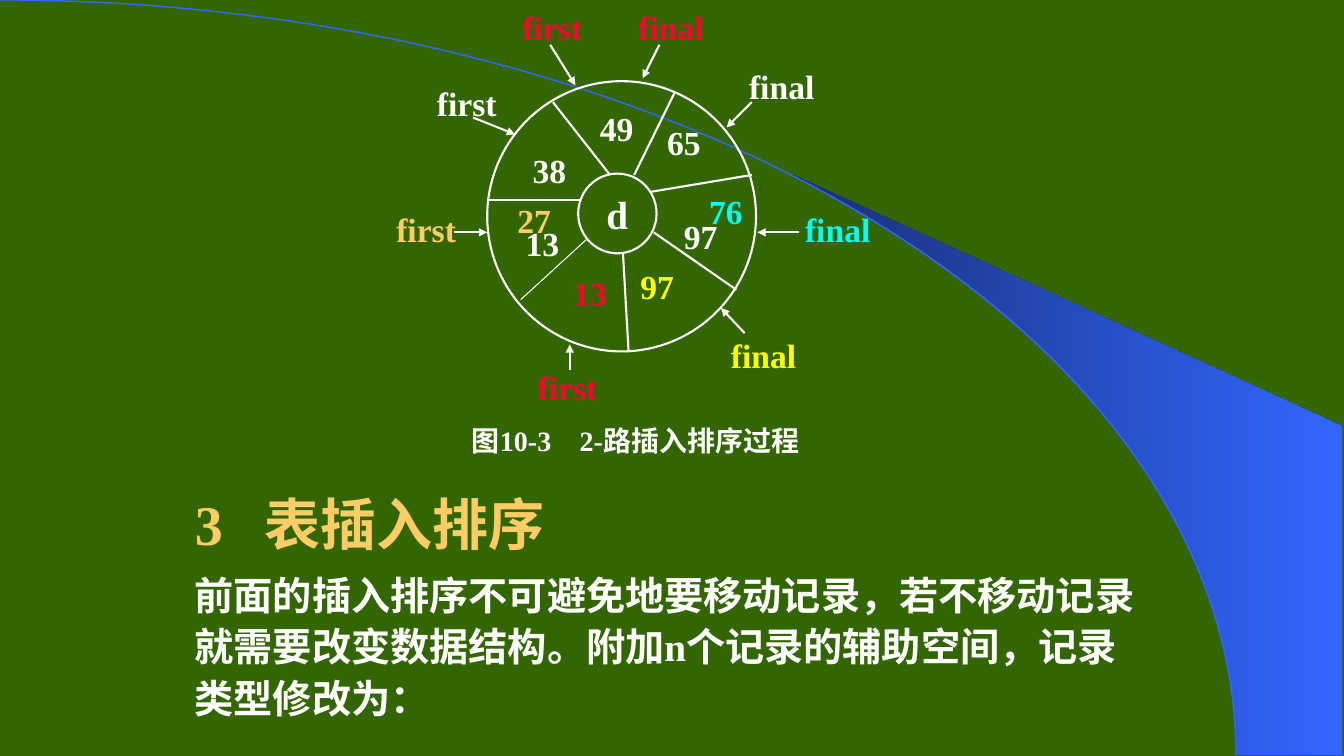
from dataclasses import dataclass
from math import asin, cos, pi, sin

from lxml import etree
from pptx import Presentation
from pptx.dml.color import RGBColor
from pptx.enum import shapes, text
from pptx.oxml import ns
from pptx.util import Pt


@dataclass(frozen=True)
class Theme:
    face = "Times New Roman"
    ground = "336600"
    white = "FFFFFF"
    gold = "FFCC66"
    red = "FF0033"
    cyan = "00FFFF"
    yellow = "FFFF00"
    blue = "3366FF"
    navy = "182F76"
    heading = 40
    body = 28
    label = 24
    caption = 20
    line = 1.5
    thin = 0.75


THEME = Theme()

# Lengths in points, measured from the top left of the ring
SPOKES = [
    (47, 15, 87, 66, THEME.line),
    (134, 8, 105, 67, THEME.line),
    (117, 79, 189, 67, THEME.line),
    (119, 108, 178, 149, THEME.line),
    (97, 123, 101, 193, THEME.line),
    (67, 85, 1, 85, THEME.line),
    (71, 113, 24, 156, THEME.thin),
]
KEYS = [
    ("27", 18, 84, THEME.gold),
    ("76", 155, 77, THEME.cyan),
    ("49", 77, 18, THEME.white),
    ("65", 125, 28, THEME.white),
    ("38", 29, 48, THEME.white),
    ("97", 137, 95, THEME.white),
    ("97", 106, 131, THEME.yellow),
    ("13", 24, 100, THEME.white),
    ("13", 58, 136, THEME.red),
]
# Word, its place, colour, then the ends of its arrow
POINTERS = [
    ("first", 18, -54, THEME.red, (45, -26, 63, 3)),
    ("first", -43, 0, THEME.white, (-10, 26, 20, 38)),
    ("first", -72, 90, THEME.gold, (-24, 108, 0, 108)),
    ("first", 29, 203, THEME.red, (59, 206, 59, 188)),
    ("final", 101, -54, THEME.red, (123, -26, 111, -2)),
    ("final", 180, -12, THEME.white, (189, 15, 171, 33)),
    ("final", 220, 90, THEME.cyan, (223, 108, 193, 108)),
    ("final", 167, 180, THEME.yellow, (184, 180, 167, 162)),
]


def rgb(colour):
    return RGBColor.from_string(colour)


def write(shape, words, size, colour, align=text.PP_ALIGN.LEFT, wrap=False,
          anchor=text.MSO_ANCHOR.MIDDLE, spacing=None, tab=None):
    """Put one formatted paragraph in a shape, with an optional tab stop."""
    frame = shape.text_frame
    frame.word_wrap = wrap
    frame.auto_size = text.MSO_AUTO_SIZE.NONE
    frame.vertical_anchor = anchor
    paragraph = frame.paragraphs[0]
    paragraph.text = words
    paragraph.alignment = align
    if spacing:
        paragraph.line_spacing = spacing
    if tab:
        stops = etree.SubElement(paragraph._p.get_or_add_pPr(), ns.qn("a:tabLst"))
        etree.SubElement(stops, ns.qn("a:tab"), pos=str(Pt(tab)), algn="l")
    font = paragraph.font
    font.name, font.size, font.bold = THEME.face, Pt(size), True
    font.color.rgb = rgb(colour)


def add_words(slide, box, *args, **kwargs):
    write(slide.shapes.add_textbox(*map(Pt, box)), *args, **kwargs)


def add_line(slide, ends, width, arrow=False):
    line = slide.shapes.add_connector(shapes.MSO_CONNECTOR.STRAIGHT, *map(Pt, ends))
    line.line.color.rgb = rgb(THEME.white)
    line.line.width = Pt(width)
    if arrow:
        etree.SubElement(line.line._get_or_add_ln(), ns.qn("a:tailEnd"), type="triangle")
    etree.SubElement(line._element.spPr, ns.qn("a:effectLst"))


def add_circle(slide, box):
    circle = slide.shapes.add_shape(shapes.MSO_SHAPE.OVAL, *map(Pt, box))
    circle.shadow.inherit = False
    circle.fill.background()
    circle.line.color.rgb = rgb(THEME.white)
    circle.line.width = Pt(THEME.line)
    return circle


def add_outline(slide, points, close):
    points = [(Pt(x), Pt(y)) for x, y in points]
    builder = slide.shapes.build_freeform(*points[0])
    builder.add_line_segments(points[1:], close=close)
    outline = builder.convert_to_shape()
    outline.shadow.inherit = False
    return outline


def add_backdrop(slide, left, top, width, height):
    """Draw a quarter-ellipse sweep and the blue wedge to its right."""
    sweep, wedge_start, wedge_top, edge_top = 883, 566, 124.5, 304.5

    def arc(start, steps):
        angles = (start + (pi / 2 - start) * i / steps for i in range(steps + 1))
        return [(left + sweep * sin(a), top + height * (1 - cos(a))) for a in angles]

    right = left + width
    corners = [(right, top + height), (right, top + edge_top),
               (left + wedge_start, top + wedge_top)]
    wedge = add_outline(slide, arc(asin(wedge_start / sweep), 40) + corners, True)
    wedge.line.fill.background()
    wedge.fill.gradient()
    wedge.fill.gradient_angle = 0
    for stop, colour in zip(wedge.fill.gradient_stops, (THEME.navy, THEME.blue)):
        stop.color.rgb = rgb(colour)

    curve = add_outline(slide, arc(0, 80), False)
    curve.fill.background()
    curve.line.color.rgb = rgb(THEME.blue)
    curve.line.width = Pt(1)


def add_ring_diagram(slide, left, top, width, height):
    """Draw the circular array d with its keys and first/final pointers."""
    def shift(ends):
        x1, y1, x2, y2 = ends
        return left + x1, top + y1, left + x2, top + y2

    add_circle(slide, (left, top, width, height))
    hub = add_circle(slide, (left + 65, top + 66, 56, 57))
    write(hub, "d", THEME.body, THEME.white, text.PP_ALIGN.CENTER)
    for *ends, weight in SPOKES:
        add_line(slide, shift(ends), weight)
    for key, x, y, colour in KEYS:
        add_words(slide, (left + x, top + y, 31, 31), key, THEME.label, colour,
                  text.PP_ALIGN.CENTER)
    for word, x, y, colour, ends in POINTERS:
        add_words(slide, (left + x, top + y, 53, 31), word, THEME.label, colour)
        add_line(slide, shift(ends), THEME.line, arrow=True)
    add_words(slide, (left - 18, top + 241, 260, 31), "图10-3\t2-路插入排序过程",
              THEME.caption, THEME.white, wrap=True, tab=77)


def add_section(slide, left, top, width, height):
    heading_height = 60
    title = slide.shapes.title
    title.left, title.top = Pt(left), Pt(top)
    title.width, title.height = Pt(width), Pt(heading_height)
    layout = dict(wrap=True, anchor=text.MSO_ANCHOR.TOP, spacing=1.1)
    write(title, "3\t表插入排序", THEME.heading, THEME.gold, tab=50, **layout)
    add_words(slide, (left, top + heading_height, width, height - heading_height),
              "前面的插入排序不可避免地要移动记录，若不移动记录就需要改变数据结构。"
              "附加n个记录的辅助空间，记录类型修改为：",
              THEME.body, THEME.white, **layout)


def main():
    deck = Presentation()
    deck.slide_width, deck.slide_height = Pt(960), Pt(540)
    slide = deck.slides.add_slide(deck.slide_layouts[5])
    slide.background.fill.solid()
    slide.background.fill.fore_color.rgb = rgb(THEME.ground)
    add_backdrop(slide, 0, 0, 958.5, 539.5)
    add_ring_diagram(slide, 348, 58, 192, 193)
    add_section(slide, 132, 341, 694, 184)
    deck.save("out.pptx")


if __name__ == "__main__":
    main()
